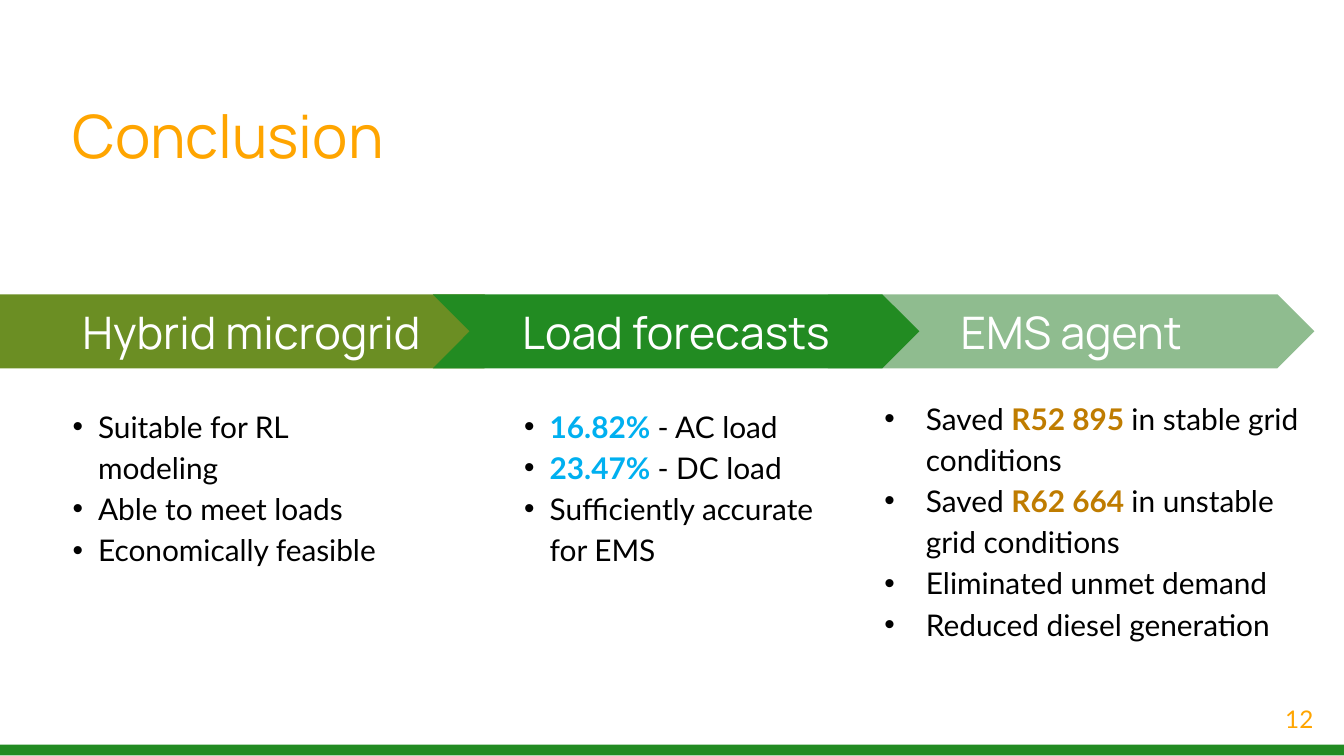
from dataclasses import dataclass

from lxml import etree
from pptx import Presentation
from pptx.dml.color import RGBColor
from pptx.enum.shapes import MSO_SHAPE
from pptx.enum.text import MSO_ANCHOR, MSO_AUTO_SIZE, PP_ALIGN
from pptx.oxml.ns import qn
from pptx.slide import Slide
from pptx.text.text import TextFrame, _Paragraph
from pptx.util import Inches, Pt

HOME_PLATE = MSO_SHAPE.PENTAGON
CHEVRON = MSO_SHAPE.CHEVRON
RECTANGLE = MSO_SHAPE.RECTANGLE
TOP, MIDDLE, BOTTOM = MSO_ANCHOR.TOP, MSO_ANCHOR.MIDDLE, MSO_ANCHOR.BOTTOM
LEFT, CENTER, RIGHT = PP_ALIGN.LEFT, PP_ALIGN.CENTER, PP_ALIGN.RIGHT
COMPARISON_LAYOUT = 4
UNUSED_PLACEHOLDER = 3


@dataclass(frozen=True)
class Theme:
    heading_font: str = "Manrope"
    body_font: str = "Lato"
    orange: str = "FFA500"
    olive: str = "6B8E23"
    green: str = "228B22"
    sage: str = "8FBC8F"
    blue: str = "00B0F0"
    amber: str = "BF7C00"
    black: str = "000000"
    white: str = "FFFFFF"
    title_size: int = 32
    banner_size: int = 24
    body_size: int = 16
    number_size: int = 13
    line_spacing: float = 1.15


THEME = Theme()


@dataclass(frozen=True)
class Banner:
    label: str
    outline: MSO_SHAPE
    left: float
    width: float
    color: str


@dataclass(frozen=True)
class Phrase:
    text: str
    color: str = THEME.black
    bold: bool = False


@dataclass(frozen=True)
class BulletList:
    placeholder: int
    left: float
    top: float
    width: float
    indent: float
    items: list[list[Phrase]]


# Back to front: each later banner covers the one beneath it
BANNERS = [
    Banner("EMS agent", CHEVRON, 6.16, 3.62, THEME.sage),
    Banner("Hybrid microgrid", HOME_PLATE, 0, 3.88, THEME.olive),
    Banner("Load forecasts", CHEVRON, 3.22, 3.62, THEME.green),
]

BULLET_LISTS = [
    BulletList(1, 0.44, 2.9, 2.72, 0.19, [
        [Phrase("Suitable for RL modeling")],
        [Phrase("Able to meet loads")],
        [Phrase("Economically feasible")],
    ]),
    BulletList(2, 3.8, 2.9, 2.45, 0.19, [
        [Phrase("16.82% ", THEME.blue, True), Phrase("- AC load")],
        [Phrase("23.47% ", THEME.blue, True), Phrase("- DC load")],
        [Phrase("Sufficiently accurate for EMS")],
    ]),
    BulletList(4, 6.48, 2.84, 3.29, 0.31, [
        [Phrase("Saved "), Phrase("R52 895 ", THEME.amber, True),
         Phrase("in stable grid conditions")],
        [Phrase("Saved "), Phrase("R62 664 ", THEME.amber, True),
         Phrase("in unstable grid conditions")],
        [Phrase("Eliminated unmet demand")],
        [Phrase("Reduced diesel generation")],
    ]),
]


def place(shape, left: float, top: float, width: float, height: float) -> None:
    shape.left, shape.top = Inches(left), Inches(top)
    shape.width, shape.height = Inches(width), Inches(height)


def set_frame(frame: TextFrame, anchor: MSO_ANCHOR) -> None:
    frame.word_wrap = True
    frame.auto_size = MSO_AUTO_SIZE.NONE
    frame.vertical_anchor = anchor
    frame.margin_left = frame.margin_right = Inches(0.1)
    frame.margin_top = frame.margin_bottom = Inches(0.1)


def add_run(paragraph: _Paragraph, phrase: Phrase, font: str, size: int) -> None:
    run = paragraph.add_run()
    run.text = phrase.text
    run.font.name = font
    run.font.size = Pt(size)
    run.font.bold = phrase.bold
    run.font.color.rgb = RGBColor.from_string(phrase.color)


def write_line(frame: TextFrame, phrase: Phrase, font: str, size: int,
               anchor: MSO_ANCHOR, alignment: PP_ALIGN) -> None:
    set_frame(frame, anchor)
    paragraph = frame.paragraphs[0]
    paragraph.alignment = alignment
    add_run(paragraph, phrase, font, size)


def add_bullet(paragraph: _Paragraph, indent: float) -> None:
    properties = paragraph._p.get_or_add_pPr()
    properties.set("marL", str(Inches(indent)))
    properties.set("indent", str(-Inches(indent)))
    color = etree.SubElement(properties, qn("a:buClr"))
    etree.SubElement(color, qn("a:srgbClr"), val=THEME.black)
    etree.SubElement(properties, qn("a:buChar"), char="•")


def add_block(slide: Slide, outline: MSO_SHAPE, left: float, top: float,
              width: float, height: float, color: str):
    shape = slide.shapes.add_shape(
        outline, Inches(left), Inches(top), Inches(width), Inches(height))
    shape.shadow.inherit = False
    shape.fill.solid()
    shape.fill.fore_color.rgb = RGBColor.from_string(color)
    shape.line.fill.background()
    return shape


def add_banner(slide: Slide, banner: Banner) -> None:
    shape = add_block(slide, banner.outline, banner.left, 2.19,
                      banner.width, 0.55, banner.color)
    shape.adjustments[0] = 0.5
    write_line(shape.text_frame, Phrase(banner.label, THEME.white),
               THEME.heading_font, THEME.banner_size, MIDDLE, CENTER)


def fill_list(slide: Slide, bullets: BulletList) -> None:
    shape = slide.placeholders[bullets.placeholder]
    place(shape, bullets.left, bullets.top, bullets.width, 2.15)
    frame = shape.text_frame
    set_frame(frame, TOP)
    for index, phrases in enumerate(bullets.items):
        paragraph = frame.add_paragraph() if index else frame.paragraphs[0]
        add_bullet(paragraph, bullets.indent)
        paragraph.alignment = LEFT
        paragraph.line_spacing = THEME.line_spacing
        paragraph.space_before = paragraph.space_after = Pt(0)
        for phrase in phrases:
            add_run(paragraph, phrase, THEME.body_font, THEME.body_size)


def main() -> None:
    # Widescreen slide, 16:9
    presentation = Presentation()
    presentation.slide_width = Inches(10)
    presentation.slide_height = Inches(10 * 9 / 16)
    slide = presentation.slides.add_slide(
        presentation.slide_layouts[COMPARISON_LAYOUT])
    unused = slide.placeholders[UNUSED_PLACEHOLDER].element
    unused.getparent().remove(unused)

    # Footer bar
    add_block(slide, RECTANGLE, 0, 5.54, 10, 0.08, THEME.green)

    # Title
    title = slide.shapes.title
    place(title, 0.44, 0.43, 7.07, 0.94)
    write_line(title.text_frame, Phrase("Conclusion", THEME.orange),
               THEME.heading_font, THEME.title_size, BOTTOM, LEFT)

    # Banners and the findings below them
    for banner in BANNERS:
        add_banner(slide, banner)
    for bullets in BULLET_LISTS:
        fill_list(slide, bullets)

    # Slide number
    number = slide.shapes.add_textbox(
        Inches(9.27), Inches(5.14), Inches(0.6), Inches(0.34))
    write_line(number.text_frame, Phrase("12", THEME.orange),
               THEME.body_font, THEME.number_size, TOP, RIGHT)

    presentation.save("out.pptx")


if __name__ == "__main__":
    main()
